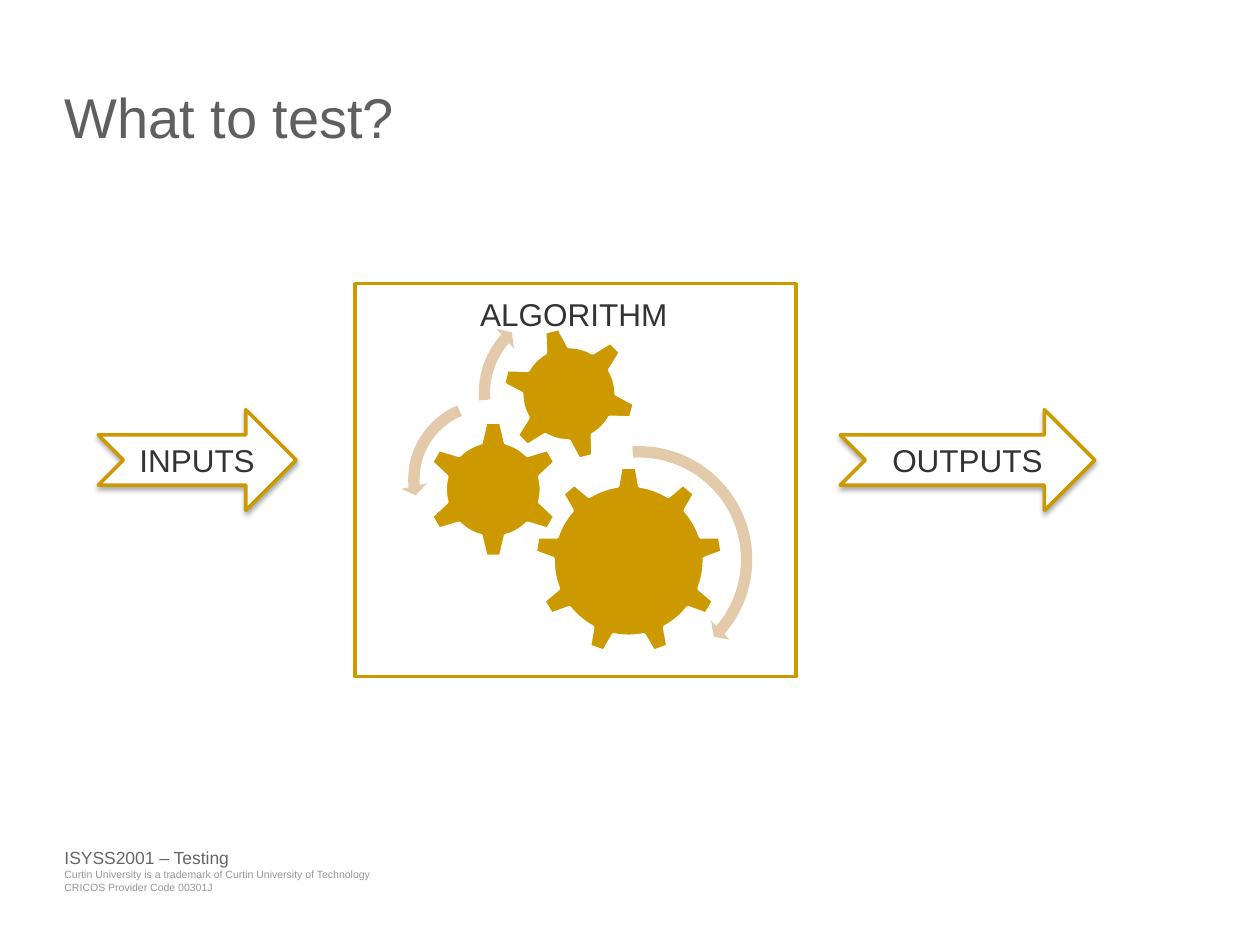
from lxml import etree
from pptx import Presentation
from pptx import util as u
from pptx.dml.color import RGBColor
from pptx.enum import shapes, text
from pptx.oxml import parse_xml
from pptx.oxml.ns import nsdecls

GOLD, SAND, WHITE, DARK = "CC9900", "E2CAAB", "FFFFFF", "333333"
PRESET = shapes.MSO_SHAPE
SHADOW = (
    f'<a:outerShdw {nsdecls("a")} blurRad="38100" dist="22860" dir="5400000" rotWithShape="0">'
    '<a:srgbClr val="000000"><a:alpha val="35000"/></a:srgbClr></a:outerShdw>'
)


def write(box, lines, size, color, inset=0, wrap=False):
    frame = box.text_frame
    frame.text = lines
    frame.word_wrap = wrap
    frame.margin_left = frame.margin_right = u.Cm(inset)
    frame.margin_top = frame.margin_bottom = u.Cm(inset)
    for para in frame.paragraphs:
        for span in para.runs:
            span.font.name = "Arial"
            span.font.size = u.Pt(size)
            span.font.color.rgb = RGBColor.from_string(color)
    return frame


def draw(parent, preset, left, top, width, height, fill=None, line=None):
    shape = parent.add_shape(preset, u.Cm(left), u.Cm(top), u.Cm(width), u.Cm(height))
    shape.shadow.inherit = False
    if fill:
        shape.fill.solid()
        shape.fill.fore_color.rgb = RGBColor.from_string(fill)
    else:
        shape.fill.background()
    if line:
        shape.line.color.rgb = RGBColor.from_string(line)
        shape.line.width = u.Pt(2)
    else:
        shape.line.fill.background()
    return shape


deck = Presentation()
deck.slide_width, deck.slide_height = u.Cm(25.4), u.Cm(19.05)
page = deck.slides.add_slide(deck.slide_layouts[6])

footer = "Curtin University is a trademark of Curtin University of Technology\nCRICOS Provider Code 00301J"
for top, width, height, lines, size, color in [
    (17.5, 6.2, 0.41, footer, 6, "969696"),
    (17.07, 3.38, 0.43, "ISYSS2001 – Testing", 10, "666666"),
]:
    box = page.shapes.add_textbox(u.Cm(1.3), u.Cm(top), u.Cm(width), u.Cm(height))
    write(box, lines, size, color)

title = page.shapes.add_textbox(u.Cm(1.3), u.Cm(1.55), u.Cm(22.81), u.Cm(2.77))
write(title, "What to test?", 32, "5F5F5F", wrap=True).margin_top = u.Cm(0.11)

for left, width, label in [(1.98, 3.99, "INPUTS"), (16.94, 5.13, "OUTPUTS")]:
    arrow = draw(page.shapes, PRESET.NOTCHED_RIGHT_ARROW, left, 8.26, width, 2.03, WHITE, GOLD)
    arrow.element.spPr.find("{*}effectLst").append(parse_xml(SHADOW))
    frame = write(arrow, label, 18, DARK, 0.13, True)
    frame.vertical_anchor = text.MSO_ANCHOR.MIDDLE
    frame.paragraphs[0].alignment = text.PP_ALIGN.CENTER

machine = page.shapes.add_group_shape().shapes
for preset, left, top, size, angle in [
    (PRESET.GEAR_9, 10.77, 9.4, 3.81, 0),
    (PRESET.GEAR_6, 8.56, 8.48, 2.77, 0),
    (PRESET.GEAR_6, 10.11, 6.58, 2.72, 345),
]:
    gear = draw(machine, preset, left, top, size, size, GOLD, WHITE)
    gear.rotation = angle

for preset, left, top, size, adjustments in [
    (PRESET.CIRCULAR_ARROW, 10.44, 8.84, 4.88, (0.047, 2.99, 24.539, 160.027, 0.055)),
    (PRESET.LEFT_CIRCULAR_ARROW, 8.08, 7.9, 3.53, (0.065, 4.3, 104.891, 148.378, 0.075)),
    (PRESET.CIRCULAR_ARROW, 9.5, 6.02, 3.81, (0.06, 3.941, 133.138, 105.082, 0.07)),
]:
    turn = draw(machine, preset, left, top, size, size, SAND)
    for index, value in enumerate(adjustments):
        turn.adjustments[index] = value

draw(page.shapes, PRESET.RECTANGLE, 7.16, 5.72, 8.89, 7.92, line=GOLD)
caption = page.shapes.add_textbox(u.Cm(9.55), u.Cm(5.82), u.Cm(4.09), u.Cm(1.02))
write(caption, "ALGORITHM", 18, DARK, 0.13)

deck.save("out.pptx")
